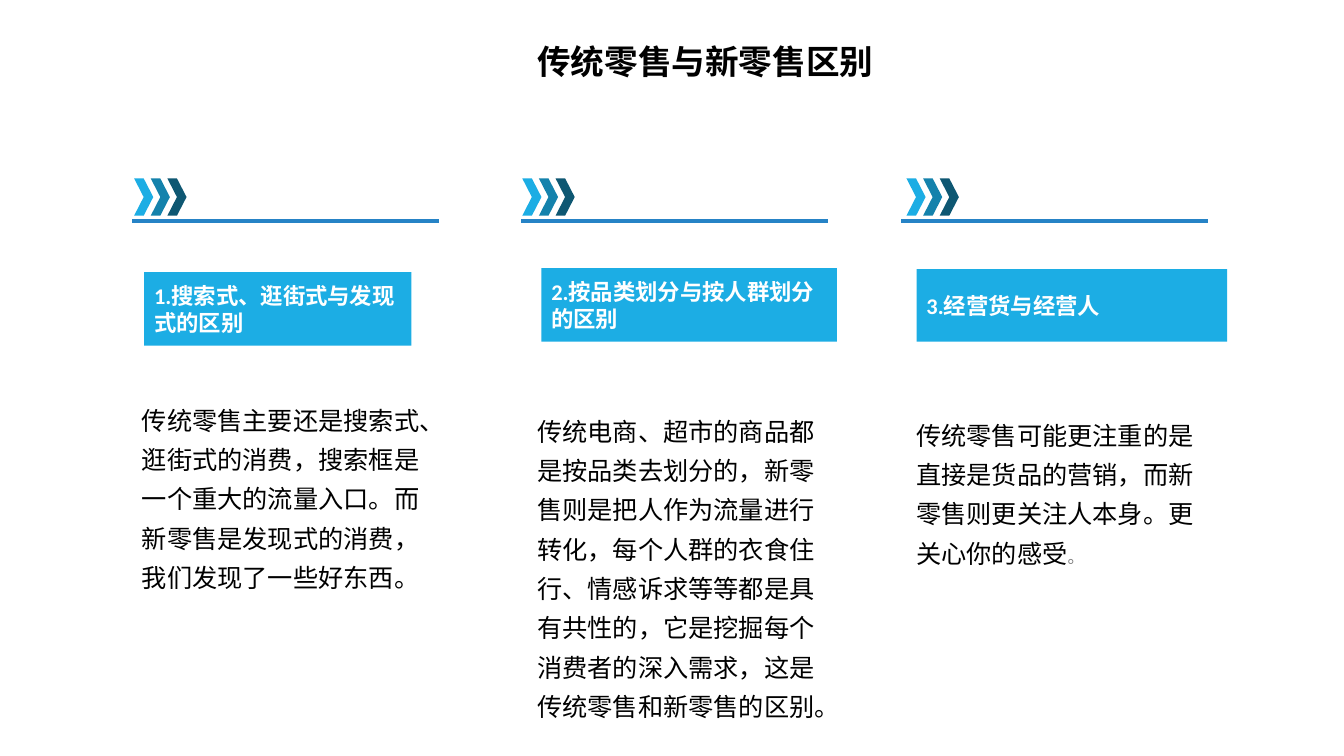
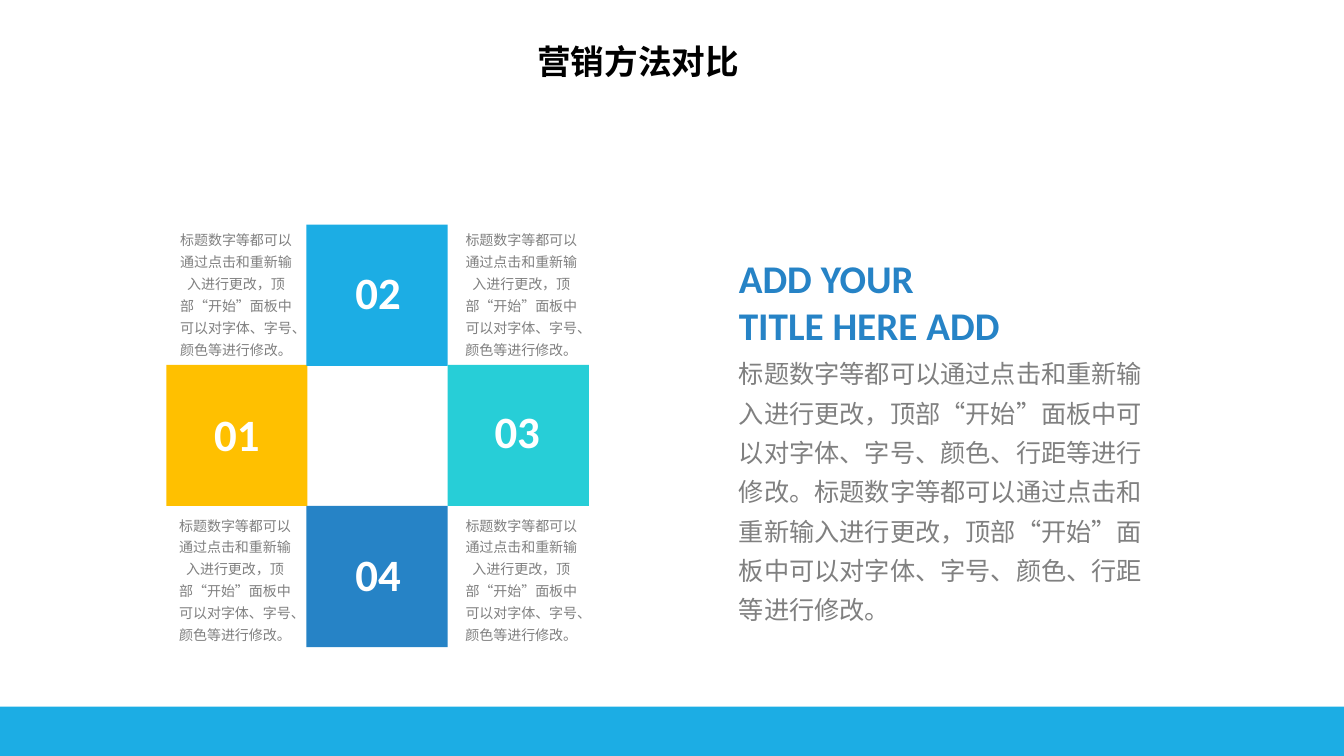
from lxml import etree
from pptx import Presentation
from pptx.dml.color import RGBColor
from pptx.enum.lang import MSO_LANGUAGE_ID
from pptx.enum.shapes import MSO_CONNECTOR, MSO_SHAPE
from pptx.enum.text import MSO_ANCHOR, PP_ALIGN
from pptx.oxml.ns import qn
from pptx.util import Inches, Pt

RECT, CHEVRON = MSO_SHAPE.RECTANGLE, MSO_SHAPE.CHEVRON
LEFT, CENTER = PP_ALIGN.LEFT, PP_ALIGN.CENTER
TOP, MIDDLE = MSO_ANCHOR.TOP, MSO_ANCHOR.MIDDLE
STRAIGHT = MSO_CONNECTOR.STRAIGHT
CHINESE = MSO_LANGUAGE_ID.SIMPLIFIED_CHINESE

SKY = RGBColor(0x1C, 0xAD, 0xE4)
TEAL = RGBColor(0x14, 0x82, 0xAC)
DEEP = RGBColor(0x0E, 0x57, 0x72)
BLUE = RGBColor(0x26, 0x83, 0xC6)
AQUA = RGBColor(0x27, 0xCE, 0xD7)
GOLD = RGBColor(0xFF, 0xC0, 0x00)
GRAY = RGBColor(0x80, 0x80, 0x80)
BLACK = RGBColor(0, 0, 0)
WHITE = RGBColor(0xFF, 0xFF, 0xFF)

# Text styles
TITLE = {"size": Pt(24), "bold": True, "color": BLACK, "spacing": 0.9}
LABEL = {"size": Pt(16), "bold": True, "color": WHITE, "anchor": MIDDLE}
BODY = {"size": Pt(18), "color": BLACK, "spacing": 1.3}
STOP = {"size": Pt(12), "color": GRAY}
NUMBER = {"size": Pt(32), "bold": True, "color": WHITE, "align": CENTER}
NOTE = {"size": Pt(10), "color": GRAY, "spacing": 1.3, "align": CENTER}
HEAD = {"size": Pt(28), "bold": True, "color": BLUE}
DETAIL = {"size": Pt(18), "color": GRAY, "spacing": 1.3}


def add_block(slide, kind, box, fill):
    shape = slide.shapes.add_shape(kind, *map(Inches, box))
    shape.shadow.inherit = False
    shape.fill.solid()
    shape.fill.fore_color.rgb = fill
    shape.line.fill.background()
    return shape


def add_text(slide, box, paras, style, shape=None):
    """Each paragraph is a list of (text, run style) pairs or a string."""
    shape = shape or slide.shapes.add_textbox(*map(Inches, box))
    frame = shape.text_frame
    frame.word_wrap = True
    frame.vertical_anchor = style.get("anchor", TOP)
    for i, runs in enumerate(paras):
        para = frame.add_paragraph() if i else frame.paragraphs[0]
        para.alignment = style.get("align", LEFT)
        para.line_spacing = style.get("spacing", 1.0)
        for words, look in [(runs, style)] if isinstance(runs, str) else runs:
            run = para.add_run()
            run.text = words
            run.font.color.rgb = look["color"]
            values = {"name": "Calibri", "size": look["size"],
                      "bold": look.get("bold", False), "language_id": CHINESE}
            for key, value in values.items():
                setattr(run.font, key, value)


deck = Presentation()
deck.slide_width, deck.slide_height = Inches(13.33), Inches(7.5)
blank = deck.slide_layouts[6]

# Slides with their titles
slides = []
for title, width in (("传统零售与新零售区别", 3.7), ("营销方法对比", 2.87)):
    slide = deck.slides.add_slide(blank)
    add_text(slide, (5.23, 0.4, width, 0.46), [title], TITLE)
    slides.append(slide)
compare, method = slides

# Slide 1: three columns (rule x, chevron x, label box, body box, body)
columns = (
    (1.31, 1.33, (1.43, 2.7, 2.65, 0.73), "1.搜索式、逛街式与发现式的区别",
     (1.31, 3.88, 3.04, 2.07),
     "传统零售主要还是搜索式、逛街式的消费，搜索框是一个重大的流量入口。"
     "而新零售是发现式的消费，我们发现了一些好东西。"),
    (5.17, 5.18, (5.37, 2.66, 2.93, 0.73), "2.按品类划分与按人群划分的区别",
     (5.23, 3.99, 3.04, 3.25),
     "传统电商、超市的商品都是按品类去划分的，新零售则是把人作为流量进行转化，"
     "每个人群的衣食住行、情感诉求等等都是具有共性的，它是挖掘每个消费者的深入需求，"
     "这是传统零售和新零售的区别。"),
    (8.94, 8.99, (9.09, 2.67, 3.08, 0.72), "3.经营货与经营人",
     (8.99, 4.03, 3.04, 1.64),
     [("传统零售可能更注重的是直接是货品的营销，而新零售则更关注人本身。"
       "更关心你的感受", BODY), ("。", STOP)]),
)
for left, mark, tag, label, area, body in columns:
    rule = compare.shapes.add_connector(
        STRAIGHT, Inches(left), Inches(2.19), Inches(left + 3.04), Inches(2.19))
    rule.line.color.rgb = BLUE
    rule.line.width = Pt(3)
    etree.SubElement(rule._element.spPr, qn("a:effectLst"))
    for i, color in enumerate((SKY, TEAL, DEEP)):
        add_block(compare, CHEVRON, (mark + i * 0.165, 1.77, 0.19, 0.37), color)
    add_text(compare, tag, [label], LABEL, add_block(compare, RECT, tag, SKY))
    add_text(compare, area, [body], BODY)

# Slide 2: footer band
add_block(method, RECT, (0, 7.01, 13.33, 0.52), SKY)

# Numbered squares around an empty centre
SIDE = 1.4
squares = (
    ("01", 1.65, 3.62, GOLD, 1.94, 3.99),
    ("02", 3.04, 2.23, SKY, 3.34, 2.58),
    ("03", 4.44, 3.62, AQUA, 4.72, 3.96),
    ("04", 3.04, 5.02, BLUE, 3.34, 5.37),
)
for number, left, top, color, x, y in squares:
    add_block(method, RECT, (left, top, SIDE, SIDE), color)
    add_text(method, (x, y, 0.82, 0.64), [number], NUMBER)

# Corner notes
note = ("标题数字等都可以通过点击和重新输入进行更改，顶部“开始”面板中"
        "可以对字体、字号、颜色等进行修改。")
for left, top in ((1.63, 2.2), (4.46, 2.2), (1.62, 5.03), (4.46, 5.03)):
    add_text(method, (left, top, 1.42, 1.41), [note], NOTE)

# Heading and detail on the right
detail = ("标题数字等都可以通过点击和重新输入进行更改，顶部“开始”面板中"
          "可以对字体、字号、颜色、行距等进行修改。")
add_text(method, (7.23, 2.47, 3.44, 1.04), ["ADD YOUR", "TITLE HERE ADD"], HEAD)
add_text(method, (7.23, 3.42, 4.31, 2.86), [detail * 2], DETAIL)

deck.save("out.pptx")
